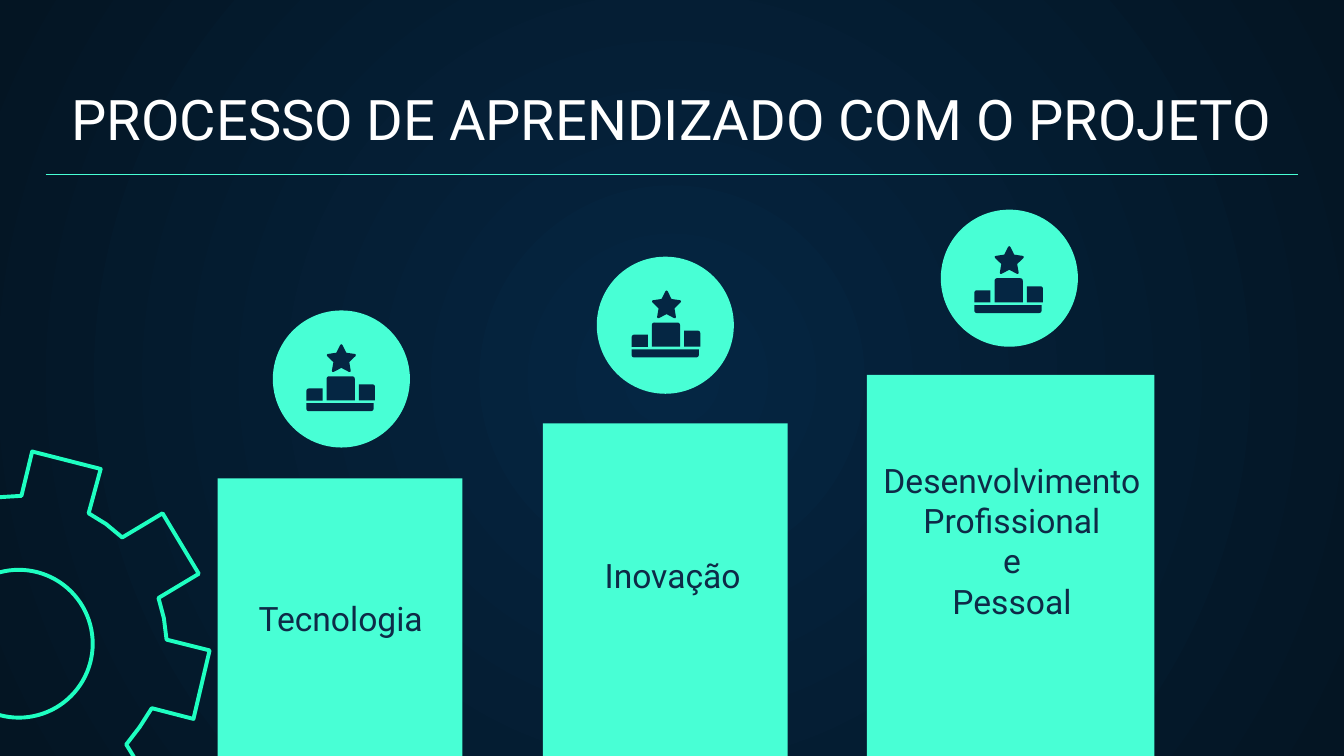
from lxml import etree
from pptx import Presentation
from pptx.dml.color import RGBColor
from pptx.enum.shapes import MSO_CONNECTOR, MSO_SHAPE as SHAPE
from pptx.enum.text import MSO_ANCHOR, PP_ALIGN
from pptx.oxml.ns import qn
from pptx.util import Inches, Pt

rgb = RGBColor.from_string
MINT, NAVY = "48FFD5", "052643"


def add_shape(shapes, kind, left, top, width, height, color, adjustments=()):
    shape = shapes.add_shape(kind, Inches(left), Inches(top), Inches(width), Inches(height))
    shape.shadow.inherit = False
    shape.fill.solid()
    shape.fill.fore_color.rgb = rgb(color)
    shape.line.fill.background()
    for index, value in enumerate(adjustments):
        shape.adjustments[index] = value
    return shape


def add_text(text, left, top, width, height, size, color):
    """Add centred text that sits on the bottom of its box."""
    box = slide.shapes.add_textbox(Inches(left), Inches(top), Inches(width), Inches(height))
    frame = box.text_frame
    frame.word_wrap = True
    frame.vertical_anchor = MSO_ANCHOR.BOTTOM
    frame.margin_left = frame.margin_right = Inches(0.1)
    frame.margin_top = frame.margin_bottom = Inches(0.1)
    paragraph = frame.paragraphs[0]
    paragraph.text = text
    paragraph.alignment = PP_ALIGN.CENTER
    paragraph.font.name = "Roboto"
    paragraph.font.size = Pt(size)
    paragraph.font.color.rgb = rgb(color)


presentation = Presentation()
presentation.slide_width = Inches(10)
presentation.slide_height = Inches(10) * 9 // 16
slide = presentation.slides.add_slide(presentation.slide_layouts[6])

# Radial background
background = slide.background.fill
background.gradient()
for stop, color in zip(background.gradient_stops, (NAVY, "041523")):
    stop.color.rgb = rgb(color)
gradient = slide.element.find(".//" + qn("a:gradFill"))
gradient.remove(gradient.find(qn("a:lin")))
radial = etree.SubElement(gradient, qn("a:path"))
radial.set("path", "circle")
center = etree.SubElement(radial, qn("a:fillToRect"))
for side in "ltrb":
    center.set(side, "50000")

# Title and rule
add_text("PROCESSO DE APRENDIZADO COM O PROJETO", 0.34, 0.57, 9.32, 0.66, 30, "FFFFFF")
rule = slide.shapes.add_connector(
    MSO_CONNECTOR.STRAIGHT, Inches(0.34), Inches(1.3), Inches(9.66), Inches(1.3))
rule.line.color.rgb = rgb(MINT)
rule.line.width = Pt(0.75)
etree.SubElement(rule.element.spPr, qn("a:effectLst"))

# Steps: bar left, top, width; badge left, top; icon left, top; label; label box
steps = [
    (1.62, 3.56, 1.82, 2.03, 2.31, 2.28, 2.56, "Tecnologia", (1.14, 4.23, 2.79, 0.62)),
    (4.04, 3.15, 1.82, 4.44, 1.91, 4.7, 2.16, "Inovação", (3.77, 3.89, 2.47, 0.64)),
    (6.45, 2.79, 2.14, 7, 1.56, 7.25, 1.83,
     "Desenvolvimento\vProfissional\ve\vPessoal", (6.35, 3.63, 2.36, 1.09)),
]
# Podium parts, offset from the icon: kind, left, top, width, height, corners
podium = [
    (SHAPE.ROUND_1_RECTANGLE, 0.39, 0.3, 0.12, 0.12, [0.15]),
    (SHAPE.ROUND_2_SAME_RECTANGLE, 0.15, 0.24, 0.21, 0.18, [0.1, 0]),
    (SHAPE.ROUND_2_SAME_RECTANGLE, 0, 0.44, 0.5, 0.06, [0, 0.3]),
]
for (left, top, width, badge_left, badge_top,
     icon_left, icon_top, label, label_box) in steps:
    add_shape(slide.shapes, SHAPE.RECTANGLE, left, top, width, 5.66 - top, MINT)
    add_text(label, *label_box, 18, "0E2A47")
    add_shape(slide.shapes, SHAPE.OVAL, badge_left, badge_top, 1.02, 1.02, MINT)

    icon = slide.shapes.add_group_shape().shapes
    for kind, x, y, part_width, part_height, corners in podium:
        add_shape(icon, kind, icon_left + x, icon_top + y,
                  part_width, part_height, NAVY, corners)
    third_place = add_shape(icon, SHAPE.ROUND_1_RECTANGLE, icon_left, icon_top + 0.33,
                            0.12, 0.09, NAVY, [0.2])
    third_place.element.spPr.xfrm.set("flipH", "1")
    star = add_shape(icon, SHAPE.STAR_5_POINT, icon_left + 0.16, icon_top + 0.01,
                     0.2, 0.19, NAVY, [0.25])
    star.line.color.rgb = rgb(NAVY)
    star.line.width = Pt(1.25)

# Gear outline, in hundredths of an inch, with its hub
gear_points = [
    (144, 535), (156, 484), (124, 476), (122, 460), (118, 445), (148, 427),
    (121, 382), (91, 400), (79, 390), (66, 382), (75, 349), (24, 336),
    (16, 369), (0, 370), (-15, 373), (-32, 344), (-78, 371), (-61, 399),
    (-72, 411), (-81, 424), (-111, 417), (-124, 468), (-96, 476),
    (-95, 493), (-91, 510), (-116, 524), (-88, 570), (-65, 555),
    (-51, 567), (-36, 577), (-43, 603), (9, 616), (15, 589),
    (33, 587), (50, 583), (65, 608), (110, 580), (94, 554), (104, 541),
    (113, 527),
]
builder = slide.shapes.build_freeform(*gear_points[0], scale=Inches(0.01))
builder.add_line_segments(gear_points[1:], close=True)
gear = builder.convert_to_shape()
gear.shadow.inherit = False
hub = add_shape(slide.shapes, SHAPE.OVAL, -0.41, 4.24, 1.1, 1.1, MINT)
for outline in (gear, hub):
    outline.fill.background()
    outline.line.color.rgb = rgb("1EFFC1")
    outline.line.width = Pt(2.1)

presentation.save("out.pptx")
